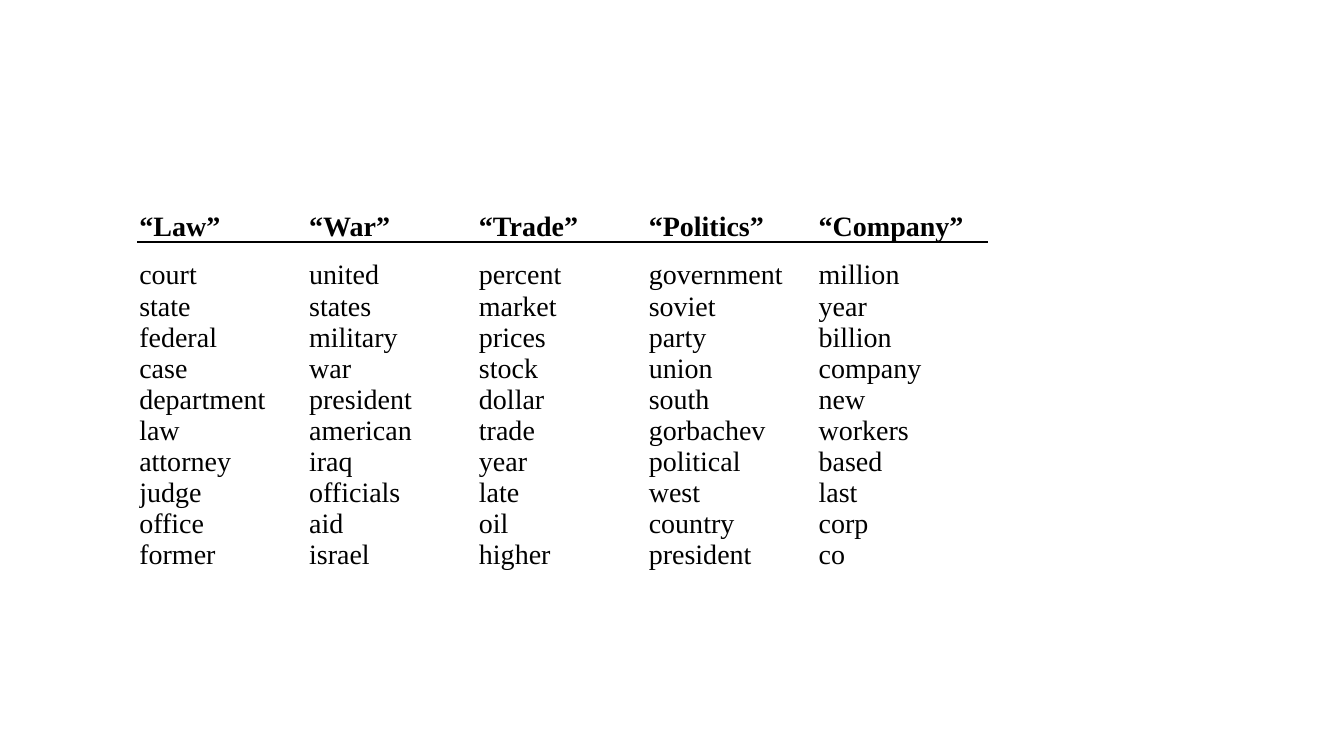
from lxml import etree
from pptx import Presentation
from pptx.dml.color import RGBColor
from pptx.enum.text import MSO_ANCHOR
from pptx.oxml.ns import qn
from pptx.util import Cm, Pt

BOTTOM = MSO_ANCHOR.BOTTOM
FONT, SIZE, INK = "Times New Roman", 20, "000000"

# Content: each topic with its top words
TOPICS = {
    "“Law”": ["court", "state", "federal", "case", "department",
              "law", "attorney", "judge", "office", "former"],
    "“War”": ["united", "states", "military", "war", "president",
              "american", "iraq", "officials", "aid", "israel"],
    "“Trade”": ["percent", "market", "prices", "stock", "dollar",
                "trade", "year", "late", "oil", "higher"],
    "“Politics”": ["government", "soviet", "party", "union", "south",
                   "gorbachev", "political", "west", "country", "president"],
    "“Company”": ["million", "year", "billion", "company", "new",
                  "workers", "based", "last", "corp", "co"],
}

# Layout in centimetres
LEFT, TOP, COL_W = 3.48, 5.08, 4.28
ROW_H = [1.02, 8.28]
INSET = 0.03


def rgb(color):
    return RGBColor.from_string(color)


def add_border(cell, side, color, width):
    """Draw one cell edge; side is lnT or lnB."""
    ln = etree.Element(qn(f"a:{side}"), w=str(Pt(width)))
    fill = etree.SubElement(ln, qn("a:solidFill"))
    etree.SubElement(fill, qn("a:srgbClr"), val=color)
    cell._tc.get_or_add_tcPr().insert(0, ln)


def fill_cell(cell, lines, bold, side):
    cell.fill.background()
    cell.vertical_anchor = BOTTOM
    cell.margin_left = cell.margin_right = cell.margin_top = Cm(INSET)
    cell.margin_bottom = 0
    tf = cell.text_frame
    tf.text = "\n".join(lines)
    for p in tf.paragraphs:
        p.font.name, p.font.size, p.font.bold = FONT, Pt(SIZE), bold
        p.font.color.rgb = rgb(INK)
    add_border(cell, side, INK, 1)


prs = Presentation()
prs.slide_width, prs.slide_height = Cm(33.87), Cm(19.05)
s = prs.slides.add_slide(prs.slide_layouts[6])

# Topic table: headings above, words below
table = s.shapes.add_table(len(ROW_H), len(TOPICS), Cm(LEFT), Cm(TOP),
                           Cm(COL_W * len(TOPICS)), Cm(sum(ROW_H))).table
table.first_row = table.horz_banding = False
for row, height in zip(table.rows, ROW_H):
    row.height = Cm(height)
for i, (topic, words) in enumerate(TOPICS.items()):
    table.columns[i].width = Cm(COL_W)
    fill_cell(table.cell(0, i), [topic], True, "lnB")
    fill_cell(table.cell(1, i), words, False, "lnT")

prs.save("out.pptx")
